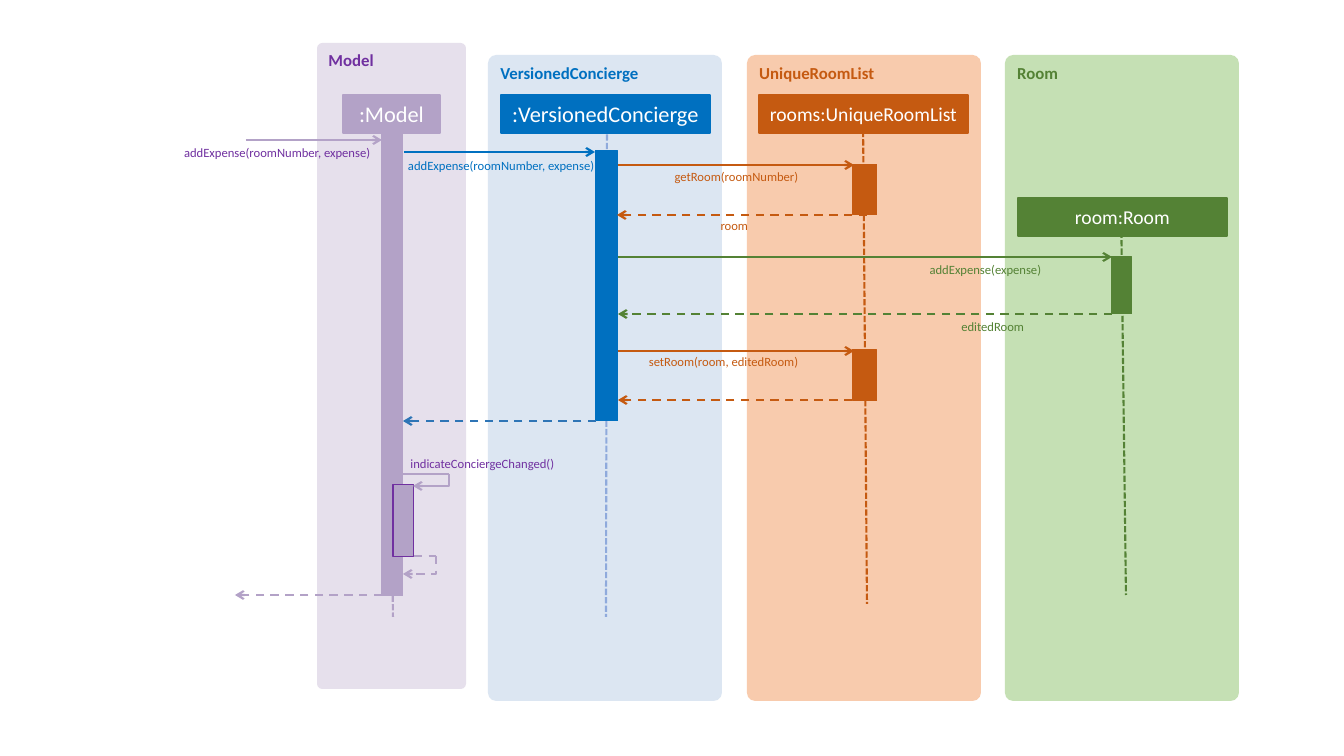
from lxml.etree import SubElement
from pptx import Presentation
from pptx.dml.color import RGBColor
from pptx.enum.dml import MSO_LINE
from pptx.enum.shapes import MSO_CONNECTOR, MSO_SHAPE
from pptx.enum.text import MSO_ANCHOR, MSO_AUTO_SIZE, PP_ALIGN
from pptx.oxml.ns import qn
from pptx.util import Pt

PX = 914400 / 100.8
FONT = "Calibri"
COLORS = {
    "white": "FFFFFF", "purple": "7030A0", "lilac": "B3A2C7", "lilac_pale": "E6E0EC",
    "blue": "0070C0", "blue_pale": "DCE6F2", "blue_soft": "8FAADC", "blue_return": "2E75B6",
    "orange": "C55A11", "orange_pale": "F8CBAD", "green": "548235", "green_pale": "C5E0B4",
}
DASHES = {"dash": MSO_LINE.DASH, "dots": MSO_LINE.SQUARE_DOT}

# lane name, lane box, lane fill, name colour
LANE_TOP, LANE_HEIGHT = 55, 646
LANES = [
    ("Model", (317, 43, 149, LANE_HEIGHT), "lilac_pale", "purple"),
    ("VersionedConcierge", (488, LANE_TOP, 234, LANE_HEIGHT), "blue_pale", "blue"),
    ("UniqueRoomList", (747, LANE_TOP, 234, LANE_HEIGHT), "orange_pale", "orange"),
    ("Room", (1005, LANE_TOP, 234, LANE_HEIGHT), "green_pale", "green"),
]
# start, end, colour
LIFELINES = [
    ((387, 133), (393, 617), "lilac"),
    ((607, 126), (606, 617), "blue_soft"),
    ((863, 114), (867, 604), "orange"),
    ((1121, 198), (1126, 595), "green"),
]
# object name, box, colour, text size
OBJECTS = [
    (":Model", (343, 95, 97, 38), "lilac", 16),
    (":VersionedConcierge", (501, 95, 209, 38), "blue", 16),
    ("rooms:UniqueRoomList", (759, 95, 209, 38), "orange", 14),
    ("room:Room", (1018, 198, 209, 38), "green", 14),
]
# box, fill, outline
ACTIVATIONS = [
    ((382, 127, 21, 469), "lilac", "lilac"),
    ((596, 151, 22, 270), "blue", "blue"),
    ((853, 164, 24, 51), "orange", "orange"),
    ((853, 350, 24, 51), "orange", "orange"),
    ((1112, 257, 20, 57), "green", "green"),
    ((393, 485, 21, 72), "lilac", "purple"),
]
# y, start x, end x, colour, dash
MESSAGES = [
    (140, 246, 382, "lilac", None),
    (152, 404, 595, "blue", None),
    (165, 618, 854, "orange", None),
    (215, 867, 617, "orange", "dash"),
    (257, 618, 1112, "green", None),
    (314, 1112, 618, "green", "dash"),
    (351, 618, 854, "orange", None),
    (400, 867, 618, "orange", "dash"),
    (421, 596, 403, "blue_return", "dash"),
    (595, 382, 235, "lilac", "dash"),
]
# stub start, corner, arrow end, dash
SELF_CALLS = [
    ((398, 474), (449, 474), (413, 486), None),
    ((414, 556), (436, 556), (403, 574), "dash"),
]
# wording, left, top, width, colour
MESSAGE_LABELS = [
    ("addExpense(roomNumber, expense)", 170, 140, 210, "purple"),
    ("addExpense(roomNumber, expense)", 394, 153, 210, "blue"),
    ("getRoom(roomNumber)", 659, 164, 149, "orange"),
    ("room", 710, 213, 48, "orange"),
    ("addExpense(expense)", 918, 257, 133, "green"),
    ("editedRoom", 949, 314, 85, "green"),
    ("setRoom(room, editedRoom)", 636, 349, 172, "orange"),
    ("indicateConciergeChanged()", 398, 451, 166, "purple"),
]


def emu(*pixels):
    """Turn pixel lengths into EMU."""
    return [round(length * PX) for length in pixels]


def rgb(name):
    """Look up a named colour."""
    return RGBColor.from_string(COLORS[name])


def write(frame, text, size, color, bold=False, align=PP_ALIGN.LEFT, anchor=MSO_ANCHOR.TOP):
    """Put one formatted line of text into a text frame."""
    frame.vertical_anchor = anchor
    paragraph = frame.paragraphs[0]
    paragraph.alignment = align
    run = paragraph.add_run()
    run.text = text
    run.font.name, run.font.size, run.font.bold = FONT, Pt(size), bold
    run.font.color.rgb = rgb(color)


def add_box(slide, box, fill, outline=None, weight=0.75, kind=MSO_SHAPE.RECTANGLE):
    """Draw a filled shape, outlined when a colour is given."""
    shape = slide.shapes.add_shape(kind, *emu(*box))
    shape.shadow.inherit = False
    shape.fill.solid()
    shape.fill.fore_color.rgb = rgb(fill)
    if outline:
        shape.line.color.rgb = rgb(outline)
        shape.line.width = Pt(weight)
    else:
        shape.line.fill.background()
    return shape


def add_lane(slide, name, box, fill, color):
    """Draw a rounded lane with its name at the top left."""
    lane = add_box(slide, box, fill, kind=MSO_SHAPE.ROUNDED_RECTANGLE)
    lane.adjustments[0] = 0.035
    write(lane.text_frame, name, 12, color, bold=True)


def add_object(slide, name, box, color, size):
    """Draw the head box of a lifeline."""
    head = add_box(slide, box, color, color, weight=1.5)
    head.text_frame.word_wrap = False
    write(head.text_frame, name, size, "white", align=PP_ALIGN.CENTER, anchor=MSO_ANCHOR.MIDDLE)


def add_line(slide, start, end, color, dash=None, arrow=False, kind=MSO_CONNECTOR.STRAIGHT):
    """Draw a connector, optionally dashed and with an open arrowhead."""
    connector = slide.shapes.add_connector(kind, *emu(*start, *end))
    connector.line.color.rgb = rgb(color)
    connector.line.width = Pt(1.5)
    if dash:
        connector.line.dash_style = DASHES[dash]
    properties = connector._element.spPr
    if arrow:
        SubElement(properties.find(qn("a:ln")), qn("a:tailEnd"), type="arrow")
    SubElement(properties, qn("a:effectLst"))
    return connector


def add_self_call(slide, stub, corner, end, dash):
    """Draw a call that leaves a bar and turns back to it."""
    add_line(slide, stub, corner, "lilac", dash)
    turn = add_line(slide, corner, end, "lilac", dash, arrow=True, kind=MSO_CONNECTOR.ELBOW)
    geometry = turn._element.spPr.find(qn("a:prstGeom"))
    guides = geometry.find(qn("a:avLst"))
    if guides is None:
        guides = SubElement(geometry, qn("a:avLst"))
    SubElement(guides, qn("a:gd"), name="adj1", fmla="val 0")


def add_message_label(slide, text, left, top, width, color):
    """Write the wording of a message."""
    frame = slide.shapes.add_textbox(*emu(left, top, width, 25)).text_frame
    frame.word_wrap = False
    frame.auto_size = MSO_AUTO_SIZE.SHAPE_TO_FIT_TEXT
    write(frame, text, 9, color, align=PP_ALIGN.RIGHT)


def main():
    """Build the sequence diagram and save it."""
    deck = Presentation()
    deck.slide_width, deck.slide_height = emu(1344, 756)
    slide = deck.slides.add_slide(deck.slide_layouts[6])
    for lane in LANES:
        add_lane(slide, *lane)
    for start, end, color in LIFELINES:
        add_line(slide, start, end, color, "dots")
    for head in OBJECTS:
        add_object(slide, *head)
    for activation in ACTIVATIONS:
        add_box(slide, *activation)
    for y, start, end, color, dash in MESSAGES:
        add_line(slide, (start, y), (end, y), color, dash, arrow=True)
    for call in SELF_CALLS:
        add_self_call(slide, *call)
    for label in MESSAGE_LABELS:
        add_message_label(slide, *label)
    deck.save("out.pptx")


main()
